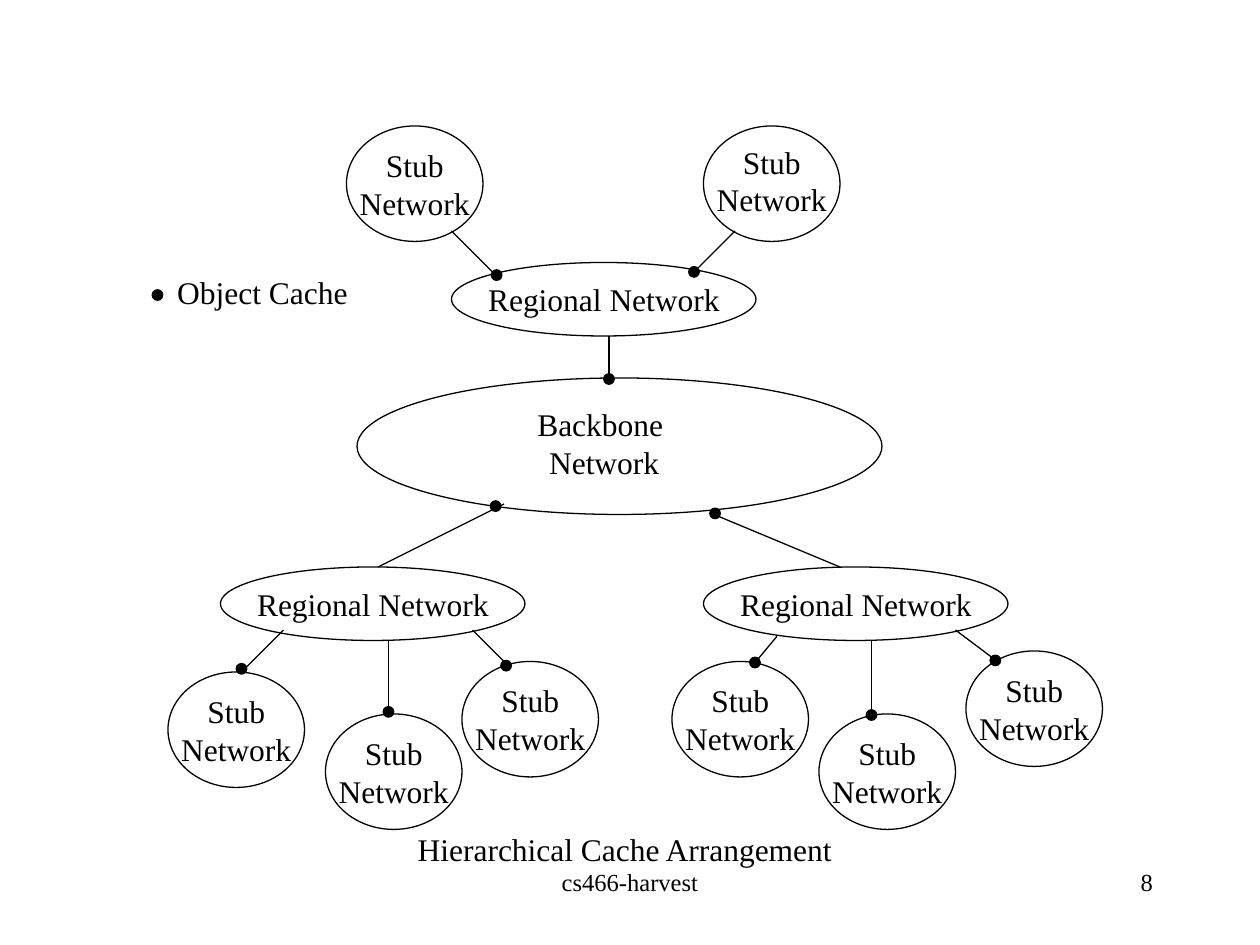
from lxml.etree import SubElement
from pptx import Presentation
from pptx.dml.color import RGBColor
from pptx.enum.shapes import MSO_CONNECTOR, MSO_SHAPE
from pptx.enum.text import MSO_AUTO_SIZE, PP_ALIGN
from pptx.oxml.ns import qn
from pptx.util import Pt

PX = 7620  # EMU per px, 120 px to the inch
COLORS = {"ink": "000000"}
INK = RGBColor.from_string(COLORS["ink"])
FONT = "Times New Roman"

prs = Presentation()
prs.slide_width, prs.slide_height = 1200 * PX, 900 * PX
s = prs.slides.add_slide(prs.slide_layouts[6])


def add_ellipse(x, y, w, h, filled=False):
    sp = s.shapes.add_shape(MSO_SHAPE.OVAL, x * PX, y * PX, w * PX, h * PX)
    sp.shadow.inherit = False
    if filled:
        sp.fill.solid()
        sp.fill.fore_color.rgb = INK
    else:
        sp.fill.background()
    sp.line.color.rgb = INK
    sp.line.width = Pt(0.75)


def add_text(lines, x, y, w, h, align=PP_ALIGN.LEFT, size=18, wrap=False):
    tf = s.shapes.add_textbox(x * PX, y * PX, w * PX, h * PX).text_frame
    tf.word_wrap = wrap
    tf.auto_size = MSO_AUTO_SIZE.NONE
    tf.text = "\n".join(lines)
    for p in tf.paragraphs:
        p.alignment = align
        p.font.name = FONT
        p.font.size = Pt(size)
        p.font.color.rgb = INK


# Backbone network
add_ellipse(340, 360, 500, 130)
add_text(["Backbone ", "Network"], 500, 380, 151, 84, PP_ALIGN.CENTER)

# Regional networks
for x, y in [(430, 250), (210, 540), (670, 540)]:
    add_ellipse(x, y, 290, 70)
    add_text(["Regional Network"], x + 23, y + 11, 248, 48)

# Stub networks: left, top, label offset
stubs = [(330, 120, 13), (670, 120, 10),
         (160, 640, 13), (310, 680, 13), (440, 630, 13),
         (640, 630, 13), (780, 680, 13), (920, 620, 13)]
for x, y, dy in stubs:
    add_ellipse(x, y, 130, 110)
    add_text(["Stub", "Network"], x - 1, y + dy, 132, 84, PP_ALIGN.CENTER)

# Links between networks
links = [(270, 600, 230, 640), (370, 610, 370, 680), (450, 600, 480, 630),
         (740, 606, 720, 630), (830, 610, 830, 680), (910, 600, 950, 630),
         (480, 480, 360, 540), (680, 490, 800, 540), (580, 320, 580, 360),
         (700, 220, 660, 260), (430, 220, 470, 260)]
for link in links:
    line = s.shapes.add_connector(MSO_CONNECTOR.STRAIGHT, *[v * PX for v in link])
    line.line.color.rgb = INK
    line.line.width = Pt(0.75)
    SubElement(line._element.spPr, qn("a:effectLst"))

# Object caches, the last one being the legend key
caches = [(468, 257), (656, 254), (575, 356), (467, 477), (676, 484), (225, 632),
          (365, 673), (477, 629), (714, 626), (825, 676), (943, 624), (145, 276)]
for x, y in caches:
    add_ellipse(x, y, 10, 10, filled=True)

# Legend, caption and footer
add_text(["Object Cache"], 157, 254, 190, 48)
add_text(["Hierarchical Cache Arrangement"], 386, 785, 424, 48)
add_text(["cs466-harvest"], 410, 820, 380, 60, PP_ALIGN.CENTER, 14, True)
add_text(["8"], 860, 820, 250, 60, PP_ALIGN.RIGHT, 14, True)

prs.save("out.pptx")
